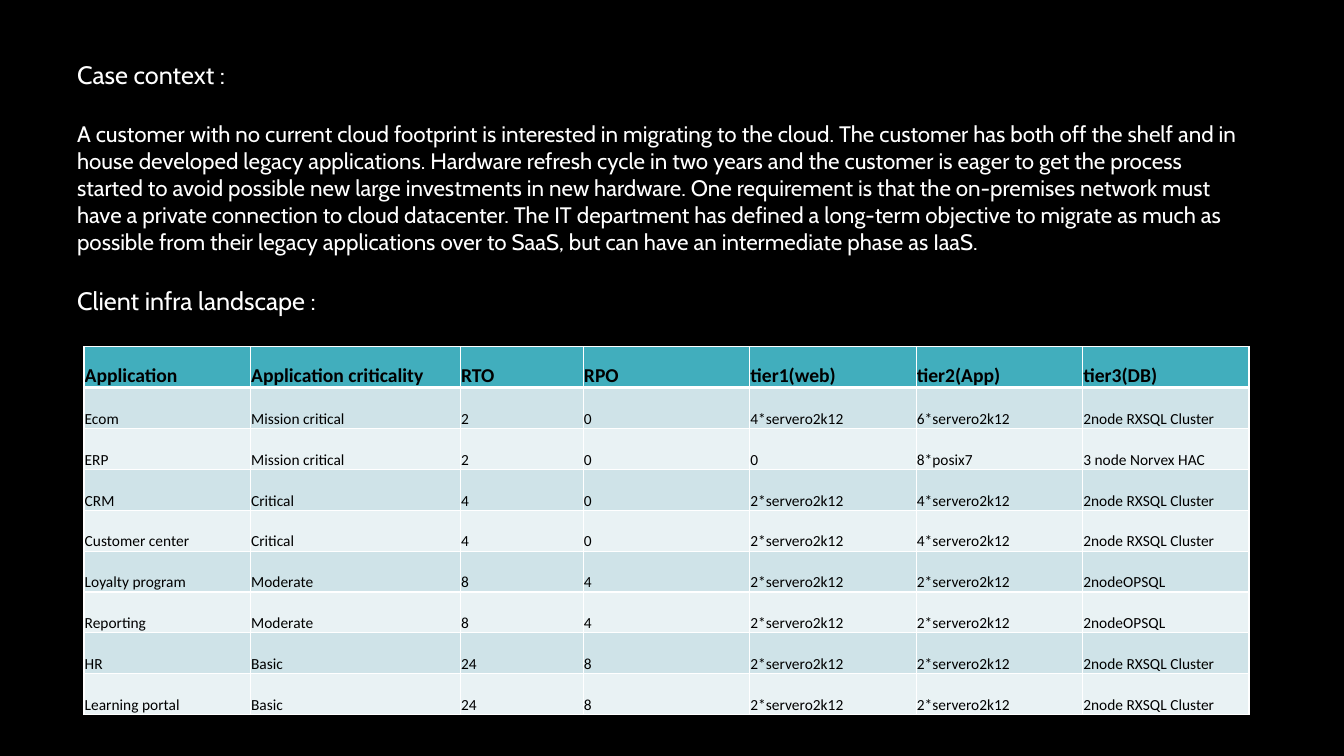
import dataclasses

import lxml.etree
import pptx
import pptx.dml.color
import pptx.enum.text
import pptx.oxml.ns
import pptx.util

Pt = pptx.util.Pt
RGBColor = pptx.dml.color.RGBColor
Anchor = pptx.enum.text.MSO_ANCHOR

BLACK = RGBColor(0x00, 0x00, 0x00)
WHITE = RGBColor(0xFF, 0xFF, 0xFF)
TEAL = RGBColor(0x41, 0xAE, 0xBD)
BAND_DARK = RGBColor(0xCF, 0xE3, 0xE8)
BAND_LIGHT = RGBColor(0xE9, 0xF2, 0xF4)

COLUMN_WIDTHS = (118.9, 150, 87.8, 118.9, 118.9, 118.9, 118.9)
ROW_HEIGHT = 29.2
THIN, THICK = 1, 3


@dataclasses.dataclass(frozen=True)
class Application:
    name: str
    criticality: str
    rto: str
    rpo: str
    web_tier: str
    app_tier: str
    database_tier: str


HEADER = Application("Application", "Application criticality", "RTO", "RPO",
                     "tier1(web)", "tier2(App)", "tier3(DB)")
APPLICATIONS = (
    Application("Ecom", "Mission critical", "2", "0",
                "4*servero2k12", "6*servero2k12", "2node RXSQL Cluster"),
    Application("ERP", "Mission critical", "2", "0",
                "0", "8*posix7", "3 node Norvex HAC"),
    Application("CRM", "Critical", "4", "0",
                "2*servero2k12", "4*servero2k12", "2node RXSQL Cluster"),
    Application("Customer center", "Critical", "4", "0",
                "2*servero2k12", "4*servero2k12", "2node RXSQL Cluster"),
    Application("Loyalty program", "Moderate", "8", "4",
                "2*servero2k12", "2*servero2k12", "2nodeOPSQL"),
    Application("Reporting", "Moderate", "8", "4",
                "2*servero2k12", "2*servero2k12", "2nodeOPSQL"),
    Application("HR", "Basic", "24", "8",
                "2*servero2k12", "2*servero2k12", "2node RXSQL Cluster"),
    Application("Learning portal", "Basic", "24", "8",
                "2*servero2k12", "2*servero2k12", "2node RXSQL Cluster"),
)

CONTEXT = (
    "A customer with no current cloud footprint is interested in migrating to the cloud. "
    "The customer has both off the shelf and in house developed legacy applications. "
    "Hardware refresh cycle in two years and the customer is eager to get the process "
    "started to avoid possible new large investments in new hardware. One requirement is "
    "that the on-premises network must have a private connection to cloud datacenter. "
    "The IT department has defined a long-term objective to migrate as much as possible "
    "from their legacy applications over to SaaS, but can have an intermediate phase as IaaS."
)


def write_text(para, text: str, *, size: float, font: str, color: RGBColor,
               bold: bool = False, space_before: float = 0) -> None:
    para.space_before = Pt(space_before)
    span = para.add_run()
    span.text = text
    span.font.size = Pt(size)
    span.font.name = font
    span.font.bold = bold
    span.font.color.rgb = color


def add_border(cell, side: str, width: float, color: RGBColor) -> None:
    qualify = pptx.oxml.ns.qn
    properties = cell._tc.get_or_add_tcPr()
    line = lxml.etree.SubElement(properties, qualify(f"a:ln{side}"), w=str(int(Pt(width))))
    fill = lxml.etree.SubElement(line, qualify("a:solidFill"))
    lxml.etree.SubElement(fill, qualify("a:srgbClr"), val=str(color))


def fill_row(table, row_index: int, application: Application) -> None:
    is_header = row_index == 0
    band = TEAL if is_header else BAND_DARK if row_index % 2 else BAND_LIGHT
    widths = {"L": THIN, "R": THIN,
              "T": THICK if row_index == 1 else THIN,
              "B": THICK if is_header else THIN}
    for column_index, text in enumerate(dataclasses.astuple(application)):
        cell = table.cell(row_index, column_index)
        cell.margin_left = cell.margin_right = cell.margin_top = Pt(0.5)
        cell.margin_bottom = Pt(0)
        cell.vertical_anchor = Anchor.BOTTOM
        for side, width in widths.items():
            add_border(cell, side, width, WHITE)
        cell.fill.solid()
        cell.fill.fore_color.rgb = band
        write_text(cell.text_frame.paragraphs[0], text, size=14 if is_header else 11,
                   font="Calibri", color=BLACK, bold=is_header)


# Deck and black page
deck = pptx.Presentation()
deck.slide_width, deck.slide_height = Pt(960), Pt(540)
page = deck.slides.add_slide(deck.slide_layouts[6])
page.background.fill.solid()
page.background.fill.fore_color.rgb = BLACK

# Case context and landscape heading
box = page.shapes.add_textbox(Pt(48), Pt(39), Pt(844), Pt(388))
frame = box.text_frame
frame.word_wrap = True
write_text(frame.paragraphs[0], "Case context :", size=18, font="Cabin", color=WHITE)
for text, size in ((CONTEXT, 16), ("Client infra landscape :", 18)):
    write_text(frame.add_paragraph(), text, size=size, font="Cabin", color=WHITE,
               space_before=22)

# Application table
rows = (HEADER, *APPLICATIONS)
table = page.shapes.add_table(len(rows), len(COLUMN_WIDTHS), Pt(60), Pt(247.7),
                              Pt(sum(COLUMN_WIDTHS)), Pt(ROW_HEIGHT * len(rows))).table
for column, width in zip(table.columns, COLUMN_WIDTHS):
    column.width = Pt(width)
for row_index, application in enumerate(rows):
    table.rows[row_index].height = Pt(ROW_HEIGHT)
    fill_row(table, row_index, application)

deck.save("out.pptx")
